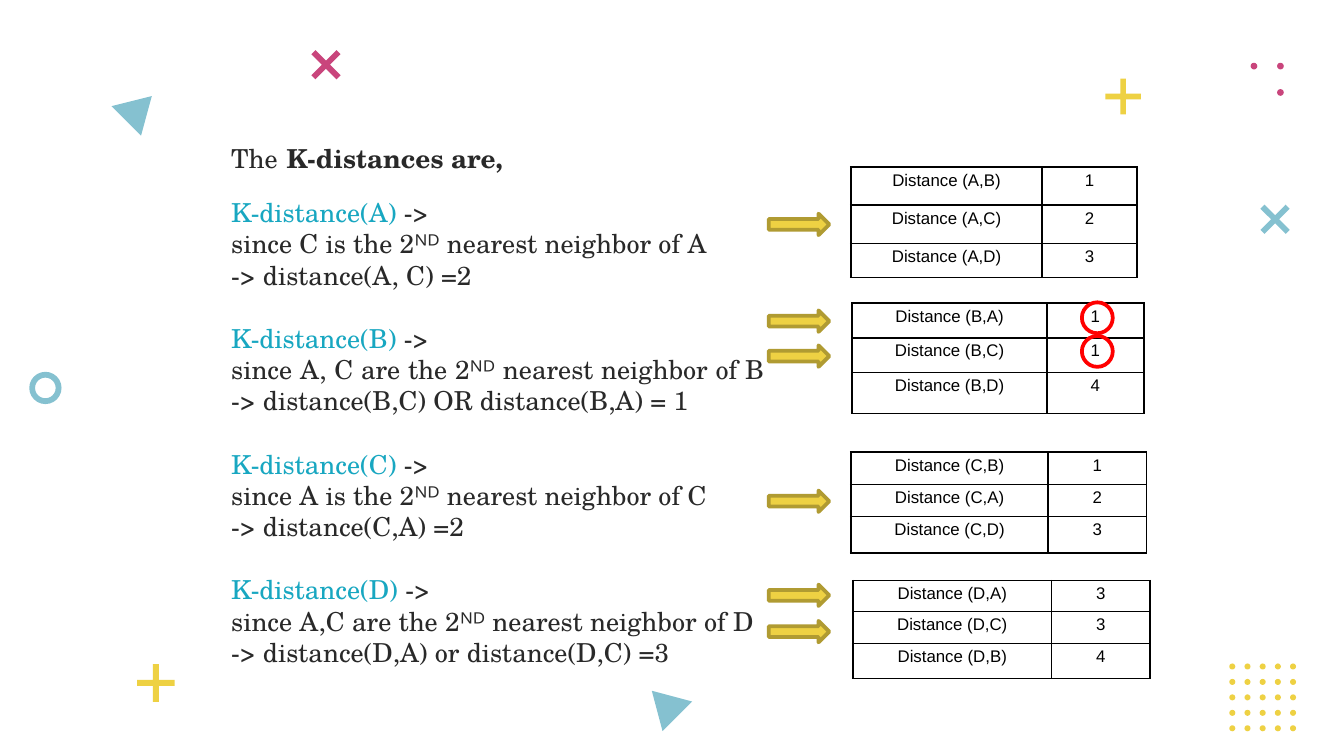
from pptx import Presentation
from pptx.dml.color import RGBColor
from pptx.enum.shapes import MSO_SHAPE as Preset
from pptx.enum.text import MSO_ANCHOR as Anchor, MSO_AUTO_SIZE as AutoSize, PP_ALIGN as Align
from pptx.oxml import parse_xml
from pptx.oxml.ns import nsdecls
from pptx.util import Inches, Pt

COLORS = {
    "yellow": "EED143", "gold": "B09B32", "blue": "85C1D0", "pink": "C9457C",
    "teal": "18A7C1", "dark": "292929", "black": "000000", "red": "FF0000",
}
SERIF = "TeX Gyre Schola"

# A widescreen page, 16 by 9
deck = Presentation()
deck.slide_width = Inches(10)
deck.slide_height = deck.slide_width * 9 // 16
page = deck.slides.add_slide(deck.slide_layouts[1])


def grid(*cells):
    """Lengths counted in cells of a grid with 100 columns across the slide."""
    return [round(deck.slide_width * cell / 100) for cell in cells]


def add_preset(preset, place, fill=None, line=None, turn=0):
    shape = page.shapes.add_shape(preset, *grid(*place))
    shape.shadow.inherit = False
    shape.rotation = turn
    if fill:
        shape.fill.solid()
        shape.fill.fore_color.rgb = RGBColor.from_string(COLORS[fill])
    else:
        shape.fill.background()
    if line:
        shape.line.color.rgb = RGBColor.from_string(COLORS[line])
        shape.line.width = Pt(2)
    else:
        shape.line.fill.background()
    return shape


# Dots: a square of 5 by 5 at the bottom, three at the top
for column in range(5):
    for row in range(5):
        add_preset(Preset.OVAL, (91.47 + 1.13 * column, 49.37 + 1.15 * row, 0.45, 0.45), "yellow")
for left, top in [(93.05, 4.67), (95.02, 4.67), (95.02, 6.63)]:
    add_preset(Preset.OVAL, (left, top, 0.5, 0.5), "pink")

# Plus signs and crosses, placed by their centre
for middle, center, size, color, turn in [
    (11.6, 50.82, 2.8, "yellow", 0),
    (83.57, 7.18, 2.65, "yellow", 0),
    (94.87, 16.32, 2.65, "blue", 45),
    (24.25, 4.82, 2.65, "pink", 45),
]:
    cross = add_preset(Preset.CROSS, (middle - size / 2, center - size / 2, size, size), color, turn=turn)
    cross.adjustments[0] = 0.42

# Ring
ring = add_preset(Preset.DONUT, (2.18, 27.67, 2.4, 2.4), "blue")
ring.adjustments[0] = 0.18

# Triangles
for corners in [
    [(11.3, 7.15), (8.3, 7.9), (10.5, 10.1)],
    [(48.5, 51.4), (49.3, 54.4), (51.5, 52.2)],
]:
    points = [grid(*corner) for corner in corners]
    builder = page.shapes.build_freeform(*points[0])
    builder.add_line_segments(points[1:], close=True)
    triangle = builder.convert_to_shape()
    triangle.shadow.inherit = False
    triangle.fill.solid()
    triangle.fill.fore_color.rgb = RGBColor.from_string(COLORS["blue"])
    triangle.line.fill.background()

# Title and list: each paragraph is (space before, spans of text, colour, bold)
title, body = page.shapes.title, page.placeholders[1]
heading = [(0, [("The\u00a0", "dark", False), ("K-distances are,", "dark", True)])]
steps = []
for index, (point, reason, result) in enumerate([
    ("A", "since C is the 2ᴺᴰ nearest neighbor of A ", "-> distance(A, C) =2"),
    ("B", "since A, C are the 2ᴺᴰ nearest neighbor of B ", "-> distance(B,C) OR distance(B,A) = 1"),
    ("C", "since A is the 2ᴺᴰ nearest neighbor of C ", "-> distance(C,A) =2"),
    ("D", "since A,C are the 2ᴺᴰ nearest neighbor of D ", "-> distance(D,A) or distance(D,C) =3"),
]):
    steps.append((17 if index else 0, [(f"K-distance({point}) ", "teal", False), ("->", "dark", False)]))
    steps += [(0, [(text, "dark", False)]) for text in (reason, result)]

for box, place, align, content in [
    (title, (16.2, 10.1, 23.4, 3.4), Align.LEFT, heading),
    (body, (16.2, 14.1, 41.7, 36.4), Align.JUSTIFY, steps),
]:
    box.left, box.top, box.width, box.height = grid(*place)
    frame = box.text_frame
    for name, value in {"word_wrap": True, "auto_size": AutoSize.NONE, "vertical_anchor": Anchor.TOP}.items():
        setattr(frame, name, value)
    for index, (gap, spans) in enumerate(content):
        para = frame.add_paragraph() if index else frame.paragraphs[0]
        for name, value in {"alignment": align, "space_before": Pt(gap), "line_spacing": 1.0}.items():
            setattr(para, name, value)
        properties = para._p.get_or_add_pPr()
        properties.set("marL", "0")
        properties.set("indent", "0")
        properties.append(parse_xml(f"<a:buNone {nsdecls('a')}/>"))
        for text, color, bold in spans:
            span = para.add_run()
            span.text = text
            for name, value in {"size": Pt(14), "name": SERIF, "bold": bold}.items():
                setattr(span.font, name, value)
            span.font.color.rgb = RGBColor.from_string(COLORS[color])

# Distance tables: left, top, column widths, row heights, rows
for left, top, widths, heights, rows in [
    (63.3, 12.42, (14.25, 7.05), (2.83, 2.87, 2.53), [("A,B", 1), ("A,C", 2), ("A,D", 3)]),
    (63.4, 22.53, (14.5, 7.2), (2.6, 2.6, 3.05), [("B,A", 1), ("B,C", 1), ("B,D", 4)]),
    (63.3, 33.65, (14.7, 7.3), (2.4, 2.4, 2.7), [("C,B", 1), ("C,A", 2), ("C,D", 3)]),
    (63.45, 43.2, (14.8, 7.3), (2.3, 2.38, 2.6), [("D,A", 3), ("D,C", 3), ("D,B", 4)]),
]:
    table = page.shapes.add_table(3, 2, *grid(left, top, sum(widths), sum(heights))).table
    table.first_row = table.horz_banding = False
    for column, width in zip(table.columns, grid(*widths)):
        column.width = width
    for row, height, (pair, distance) in zip(table.rows, grid(*heights), rows):
        row.height = height
        for cell, text in zip(row.cells, (f"Distance ({pair})", str(distance))):
            cell.fill.background()
            for side, inset in {"left": 0.6, "right": 0.6, "top": 0.3, "bottom": 0.3}.items():
                setattr(cell, f"margin_{side}", grid(inset)[0])
            para = cell.text_frame.paragraphs[0]
            para.alignment = Align.CENTER
            span = para.add_run()
            span.text = text
            span.font.size, span.font.name = Pt(9), "Arial"
            span.font.color.rgb = RGBColor.from_string(COLORS["black"])
            properties = cell._tc.get_or_add_tcPr()
            for index, edge in enumerate(("lnL", "lnR", "lnT", "lnB")):
                properties.insert(index, parse_xml(
                    f'<a:{edge} {nsdecls("a")} w="{Pt(1)}"><a:solidFill>'
                    f'<a:srgbClr val="{COLORS["black"]}"/></a:solidFill></a:{edge}>'))

# Arrows to the rows that count
for top in (15.9, 23.1, 25.7, 36.5, 43.5, 46.2):
    add_preset(Preset.RIGHT_ARROW, (57.2, top, 4.5, 1.6), "yellow", "gold")

# Rings around the tied distances of B
for top in (22.5, 25):
    add_preset(Preset.OVAL, (80.5, top, 2.3, 2.3), line="red")

deck.save("out.pptx")
